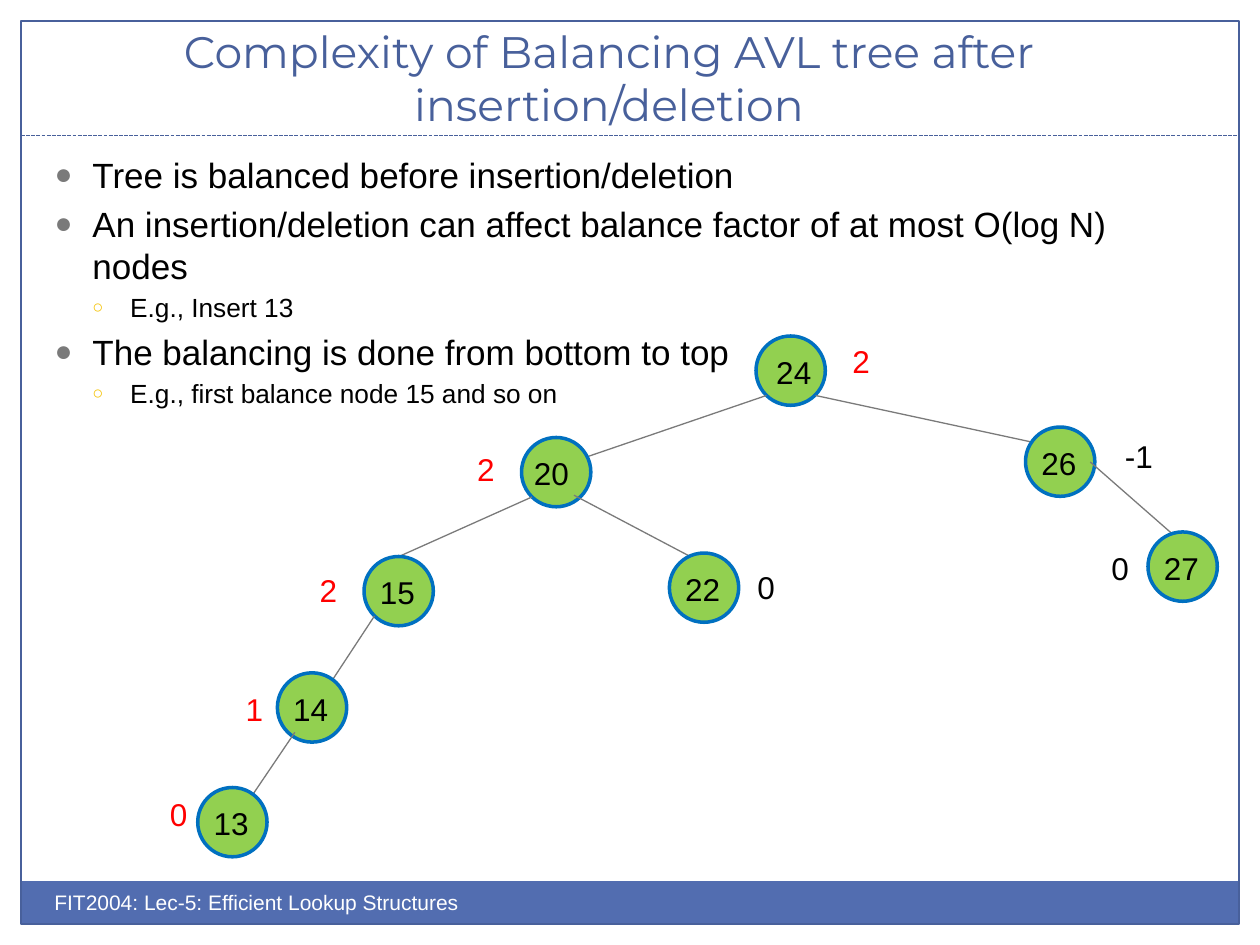
from lxml import etree
from pptx import Presentation
from pptx.dml.color import RGBColor
from pptx.enum.dml import MSO_LINE_DASH_STYLE as DASH
from pptx.enum.shapes import MSO_CONNECTOR as CONN, MSO_SHAPE as SHAPE
from pptx.enum.text import MSO_ANCHOR as ANCHOR, MSO_AUTO_SIZE as AUTO, PP_ALIGN as ALIGN
from pptx.oxml.ns import qn
from pptx.util import Pt

BLACK = RGBColor(0x00, 0x00, 0x00)
WHITE = RGBColor(0xFF, 0xFF, 0xFF)
RED = RGBColor(0xFF, 0x00, 0x00)
NAVY = RGBColor(0x48, 0x60, 0x9B)
BAND = RGBColor(0x52, 0x6D, 0xB0)
GRAY = RGBColor(0x7A, 0x7A, 0x7A)
GOLD = RGBColor(0xF5, 0xC2, 0x01)
GREEN = RGBColor(0x92, 0xD0, 0x50)
BLUE = RGBColor(0x00, 0x70, 0xC0)

TITLE = "Complexity of Balancing AVL tree after insertion/deletion"
FOOTER = "FIT2004: Lec-5: Efficient Lookup Structures"
BULLETS = [
    (0, "Tree is balanced before insertion/deletion"),
    (0, "An insertion/deletion can affect balance factor of at most O(log N) nodes"),
    (1, "E.g., Insert 13"),
    (0, "The balancing is done from bottom to top"),
    (1, "E.g., first balance node 15 and so on"),
]
# Per level: text size, left margin, bullet, bullet colour, bullet size in %
LEVELS = [(20, 21.6, "●", GRAY, 85), (15, 43.2, "○", GOLD, 70)]

NODE_SIZE = 39.6
# Parents first. Positions are relative to the tree box, other offsets to the node:
# key, position, key offset, balance factor, factor offset, factor colour
NODES = [
    ("24", (319, 0), 4.5, "2", (48, 0), RED),
    ("20", (185, 58), 0, "2", (-32.4, 3.5), RED),
    ("15", (95, 126), 2, "2", (-32.4, 5), RED),
    ("14", (45.5, 192.5), 2, "1", (-25.2, 6), RED),
    ("13", (0, 258), 2, "0", (-23, 0.7), RED),
    ("22", (269.5, 124), 2, "0", (43.2, 5), BLACK),
    ("26", (473, 52), 2, "-1", (49.7, 2.2), BLACK),
    ("27", (543, 112), 2, "0", (-28, 6), BLACK),
]
# child: (parent, start offset in parent, end offset in child)
EDGES = {
    "20": ("24", (6, 34), (20, 17)),
    "26": ("24", (34, 34), (17, 11.5)),
    "15": ("20", (6, 34), (20, 0)),
    "22": ("20", (30, 33), (19.5, 6)),
    "14": ("15", (6, 34), (21, 20)),
    "13": ("14", (10, 34), (20, 21)),
    "27": ("26", (37, 20), (19.5, 6)),
}


def style(p, size, color, font="Arial"):
    for r in p.runs:
        r.font.size, r.font.name, r.font.color.rgb = Pt(size), font, color


def place(sp, x, y, w, h):
    sp.left, sp.top, sp.width, sp.height = Pt(x), Pt(y), Pt(w), Pt(h)


def add_text(shapes, text, x, y, w, h, size, color):
    sp = shapes.add_textbox(Pt(x), Pt(y), Pt(w), Pt(h))
    sp.text_frame.text = text
    style(sp.text_frame.paragraphs[0], size, color)


def add_number(shapes, text, x, y, color):
    width = 14.4 + sum(6 if c == "-" else 10 for c in text)
    add_text(shapes, text, x, y, width, 29, 18, color)


def add_box(shapes, kind, x, y, w, h, fill=None, line=None, weight=0.75):
    sp = shapes.add_shape(kind, Pt(x), Pt(y), Pt(w), Pt(h))
    sp.shadow.inherit = False
    if fill is None:
        sp.fill.background()
    else:
        sp.fill.solid()
        sp.fill.fore_color.rgb = fill
    if line is None:
        sp.line.fill.background()
    else:
        sp.line.color.rgb, sp.line.width = line, Pt(weight)


def add_line(shapes, x1, y1, x2, y2, color):
    line = shapes.add_connector(CONN.STRAIGHT, Pt(x1), Pt(y1), Pt(x2), Pt(y2))
    line.line.color.rgb, line.line.width = color, Pt(0.75)
    etree.SubElement(line._element.spPr, qn("a:effectLst"))
    return line


def set_bullet(p, left, char, color, percent):
    pPr = p._p.get_or_add_pPr()
    pPr.set("marL", str(Pt(left)))
    pPr.set("indent", str(-Pt(21.6)))
    clr = etree.SubElement(pPr, qn("a:buClr"))
    etree.SubElement(clr, qn("a:srgbClr"), val=str(color))
    etree.SubElement(pPr, qn("a:buSzPct"), val=str(percent * 1000))
    etree.SubElement(pPr, qn("a:buFont"), typeface="Arial")
    etree.SubElement(pPr, qn("a:buChar"), char=char)


def add_frame(shapes, x, y, w, h):
    # Footer band, border and rule below the title
    add_box(shapes, SHAPE.RECTANGLE, x, y + h - 24.5, w, 24.5, fill=BAND)
    add_box(shapes, SHAPE.RECTANGLE, x, y, w, h, line=NAVY)
    rule = add_line(shapes, x, y + 65.5, x + w, y + 65.5, NAVY)
    rule.line.dash_style = DASH.SQUARE_DOT
    add_text(shapes, FOOTER, x + 12, y + h - 23, 360, 29, 12, WHITE)


def fill_title(sp, x, y, w, h):
    place(sp, x, y, w, h)
    tf = sp.text_frame
    tf.text = TITLE
    tf.auto_size, tf.vertical_anchor = AUTO.NONE, ANCHOR.BOTTOM
    p = tf.paragraphs[0]
    p.alignment = ALIGN.CENTER
    style(p, 25.2, NAVY, "Montserrat")


def fill_body(sp, x, y, w, h):
    place(sp, x, y, w, h)
    tf = sp.text_frame
    tf.auto_size = AUTO.NONE
    tf.text = "\n".join(text for _, text in BULLETS)
    for p, (level, _) in zip(tf.paragraphs, BULLETS):
        size, *bullet = LEVELS[level]
        p.level = level
        set_bullet(p, *bullet)
        style(p, size, BLACK)


def add_tree(shapes, x, y):
    corners = {key: (x + dx, y + dy) for key, (dx, dy), *_ in NODES}
    for key, _, key_dx, factor, (fx, fy), color in NODES:
        nx, ny = corners[key]
        # Edge from the parent, below this node
        if key in EDGES:
            parent, (sx, sy), (ex, ey) = EDGES[key]
            px, py = corners[parent]
            add_line(shapes, px + sx, py + sy, nx + ex, ny + ey, GRAY)
        # Node with its key
        node = shapes.add_group_shape().shapes
        add_box(node, SHAPE.OVAL, nx, ny, NODE_SIZE, NODE_SIZE, GREEN, BLUE, 2)
        add_number(node, key, nx + key_dx, ny + 6, BLACK)
        # Balance factor
        add_number(shapes, factor, nx + fx, ny + fy, color)


prs = Presentation()
prs.slide_width, prs.slide_height = Pt(720), Pt(540)
s = prs.slides.add_slide(prs.slide_layouts[1])
add_frame(s.shapes, 12, 12, 696, 516)
fill_title(s.shapes.title, -6, 18, 708, 60)
fill_body(s.placeholders[1], 24, 84, 636.5, 151)
add_tree(s.shapes, 113, 192)
prs.save("out.pptx")
